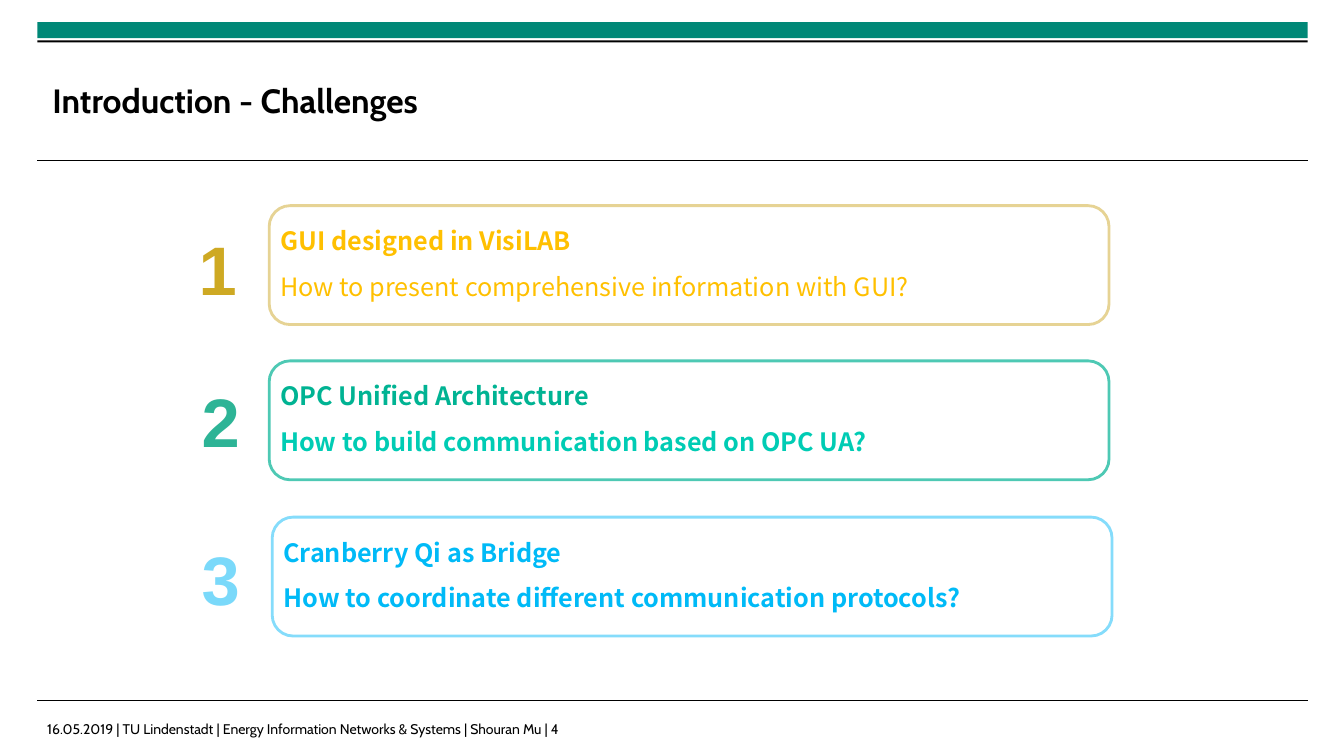
from dataclasses import dataclass

from lxml.etree import SubElement
from pptx import Presentation
from pptx.dml.color import RGBColor
from pptx.enum.shapes import MSO_CONNECTOR, MSO_SHAPE
from pptx.enum.text import MSO_ANCHOR, MSO_AUTO_SIZE, PP_ALIGN
from pptx.oxml.ns import qn
from pptx.slide import Slide
from pptx.text.text import TextFrame
from pptx.util import Inches, Pt

BLACK = RGBColor(0x00, 0x00, 0x00)
WHITE = RGBColor(0xFF, 0xFF, 0xFF)
BAND_GREEN = RGBColor(0x00, 0x88, 0x77)
GOLD = RGBColor(0xFF, 0xC0, 0x00)
GOLD_NUMBER = RGBColor(0xCE, 0xA9, 0x23)
GOLD_BORDER = RGBColor(0xE6, 0xD3, 0x94)
GREEN = RGBColor(0x00, 0xB3, 0x93)
GREEN_LIGHT = RGBColor(0x00, 0xCC, 0xB4)
GREEN_NUMBER = RGBColor(0x2D, 0xB4, 0x96)
GREEN_BORDER = RGBColor(0x4E, 0xC9, 0xB4)
BLUE = RGBColor(0x00, 0xBA, 0xF7)
BLUE_NUMBER = RGBColor(0x7A, 0xD9, 0xFA)
BLUE_BORDER = RGBColor(0x85, 0xDC, 0xFB)

HEADING_FONT = "Cabin"
CARD_FONT = "Noto Sans CJK SC"
NUMBER_FONT = "Arial"
MARGIN, FRAME_WIDTH = 0.37, 12.6


@dataclass(frozen=True)
class Challenge:
    topic: str
    question: str
    question_bold: bool
    topic_color: RGBColor
    question_color: RGBColor
    number_color: RGBColor
    border_color: RGBColor
    card_left: float
    card_top: float
    number_left: float
    number_top: float


CHALLENGES = [
    Challenge("GUI designed in VisiLAB",
              "How to present comprehensive information with GUI?", False,
              GOLD, GOLD, GOLD_NUMBER, GOLD_BORDER, 2.67, 2.04, 1.92, 2.2),
    Challenge("OPC Unified Architecture",
              "How to build communication based on OPC UA?", True,
              GREEN, GREEN_LIGHT, GREEN_NUMBER, GREEN_BORDER, 2.67, 3.58, 1.95, 3.71),
    Challenge("Cranberry Qi as Bridge",
              "How to coordinate different communication protocols?", True,
              BLUE, BLUE, BLUE_NUMBER, BLUE_BORDER, 2.7, 5.13, 1.95, 5.28),
]


def set_insets(frame: TextFrame, inset: float) -> None:
    frame.margin_left = frame.margin_right = Inches(inset)
    frame.margin_top = frame.margin_bottom = Inches(inset)


def write(frame: TextFrame, index: int, text: str, font_name: str, size: float,
          color: RGBColor, bold: bool = False):
    """Fill the paragraph at index, adding it if needed."""
    if index == len(frame.paragraphs):
        frame.add_paragraph()
    paragraph = frame.paragraphs[index]
    paragraph.text = text
    paragraph.alignment = PP_ALIGN.LEFT
    paragraph.font.name = font_name
    paragraph.font.size = Pt(size)
    paragraph.font.bold = bold
    paragraph.font.color.rgb = color
    return paragraph


def add_band(slide: Slide, top: float, height: float, color: RGBColor) -> None:
    band = slide.shapes.add_shape(MSO_SHAPE.RECTANGLE, Inches(MARGIN), Inches(top),
                                  Inches(FRAME_WIDTH), Inches(height))
    band.shadow.inherit = False
    band.fill.solid()
    band.fill.fore_color.rgb = color
    band.line.fill.background()


def add_rule(slide: Slide, top: float) -> None:
    rule = slide.shapes.add_connector(
        MSO_CONNECTOR.STRAIGHT, Inches(MARGIN), Inches(top),
        Inches(MARGIN + FRAME_WIDTH), Inches(top))
    rule.line.color.rgb = BLACK
    rule.line.width = Pt(0.6)
    SubElement(rule._element.spPr, qn("a:effectLst"))


def add_card(slide: Slide, challenge: Challenge) -> None:
    card = slide.shapes.add_shape(
        MSO_SHAPE.ROUNDED_RECTANGLE, Inches(challenge.card_left),
        Inches(challenge.card_top), Inches(8.33), Inches(1.18))
    card.adjustments[0] = 0.176
    card.shadow.inherit = False
    card.fill.solid()
    card.fill.fore_color.rgb = WHITE
    card.line.color.rgb = challenge.border_color
    card.line.width = Pt(2)
    frame = card.text_frame
    frame.word_wrap = True
    frame.vertical_anchor = MSO_ANCHOR.MIDDLE
    set_insets(frame, 0.05)
    write(frame, 0, challenge.topic, CARD_FONT, 18, challenge.topic_color, True)
    write(frame, 1, challenge.question, CARD_FONT, 18, challenge.question_color,
          challenge.question_bold)
    for paragraph in frame.paragraphs:
        paragraph.line_spacing = 0.9
        paragraph.space_before = Pt(13)


def add_number(slide: Slide, number: int, challenge: Challenge) -> None:
    label = slide.shapes.add_textbox(
        Inches(challenge.number_left), Inches(challenge.number_top),
        Inches(0.48), Inches(0.93))
    frame = label.text_frame
    frame.word_wrap = False
    frame.auto_size = MSO_AUTO_SIZE.SHAPE_TO_FIT_TEXT
    set_insets(frame, 0.05)
    write(frame, 0, str(number), NUMBER_FONT, 49, challenge.number_color, True)


def add_title(slide: Slide) -> None:
    title = slide.shapes.title
    title.left, title.top = Inches(0.52), Inches(0.53)
    title.width, title.height = Inches(9.69), Inches(0.92)
    frame = title.text_frame
    frame.auto_size = MSO_AUTO_SIZE.NONE
    frame.vertical_anchor = MSO_ANCHOR.MIDDLE
    set_insets(frame, 0)
    write(frame, 0, "Introduction - Challenges", HEADING_FONT, 24, BLACK, True)


def add_footer(slide: Slide) -> None:
    footer = slide.shapes.add_textbox(Inches(MARGIN), Inches(7.1),
                                      Inches(10.5), Inches(0.25))
    footer.text_frame.word_wrap = True
    write(footer.text_frame, 0,
          "16.05.2019 | TU Lindenstadt | Energy Information Networks & Systems"
          " | Shouran Mu | 4", HEADING_FONT, 10, BLACK)


def main() -> None:
    presentation = Presentation()
    presentation.slide_width = Inches(13.33)
    presentation.slide_height = Inches(7.5)
    slide = presentation.slides.add_slide(presentation.slide_layouts[5])

    # Header and footer frame
    add_band(slide, 0.22, 0.16, BAND_GREEN)
    add_band(slide, 0.4, 0.02, BLACK)
    for rule_top in (1.59, 6.95):
        add_rule(slide, rule_top)
    add_footer(slide)
    add_title(slide)

    # Numbered challenges
    for number, challenge in enumerate(CHALLENGES, start=1):
        add_card(slide, challenge)
        add_number(slide, number, challenge)

    presentation.save("out.pptx")


if __name__ == "__main__":
    main()
